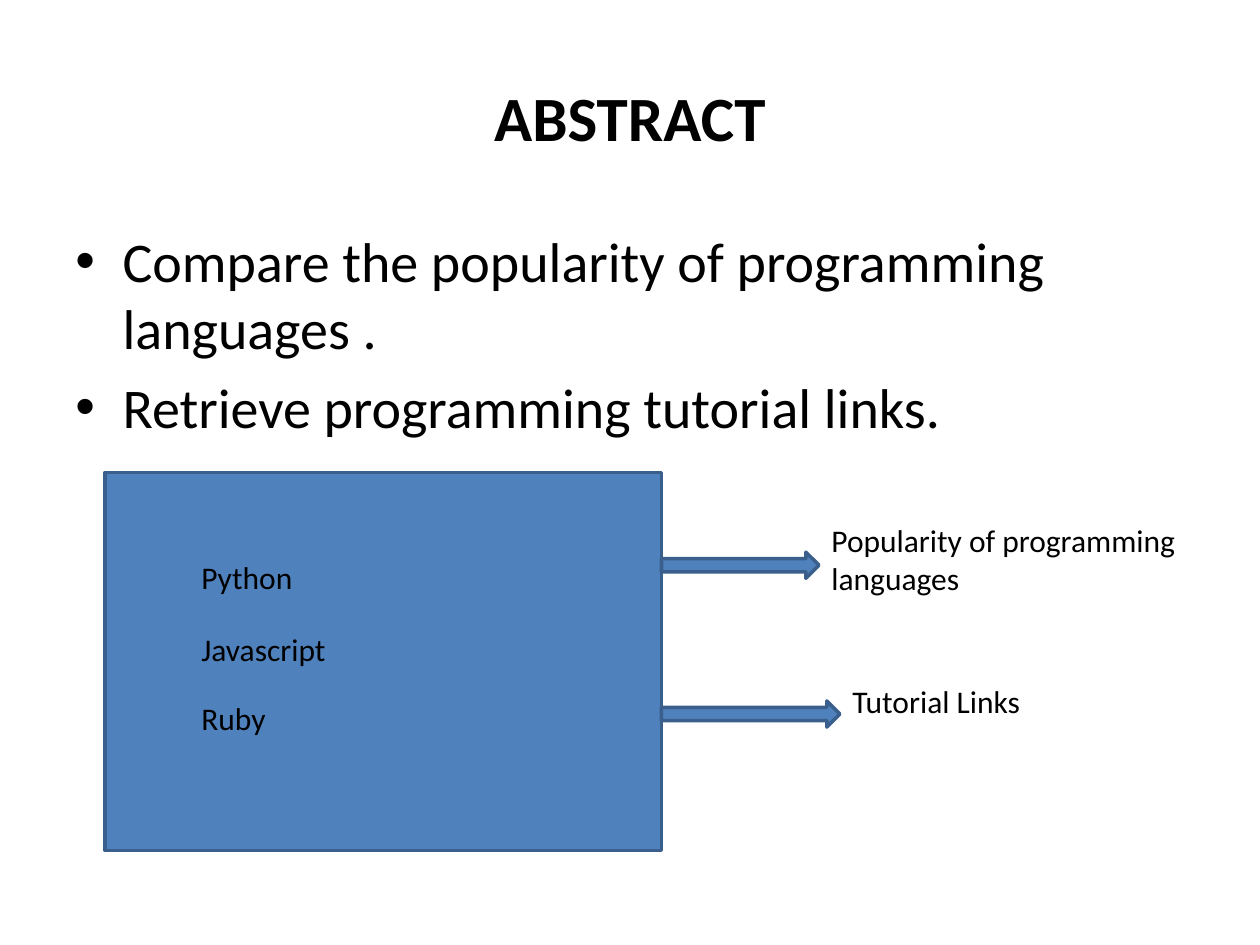
from lxml import etree
from pptx import Presentation
from pptx.dml.color import RGBColor
from pptx.enum.shapes import MSO_SHAPE
from pptx.enum.text import MSO_ANCHOR, PP_ALIGN
from pptx.oxml.ns import qn
from pptx.util import Pt

RECT, ARROW = MSO_SHAPE.RECTANGLE, MSO_SHAPE.RIGHT_ARROW
TOP, MIDDLE = MSO_ANCHOR.TOP, MSO_ANCHOR.MIDDLE
LEFT, CENTER = PP_ALIGN.LEFT, PP_ALIGN.CENTER
FONT, BLACK, BLUE, EDGE = "Calibri", "000000", "4F81BD", "3A5F8C"


def color(code):
    return RGBColor.from_string(code)


def add_text(slide, box, *lines, size=18, bold=False, align=LEFT,
             anchor=TOP, bullet=False):
    frame = slide.shapes.add_textbox(*map(Pt, box)).text_frame
    frame.word_wrap = True
    frame.vertical_anchor = anchor
    for i, line in enumerate(lines):
        para = frame.add_paragraph() if i else frame.paragraphs[0]
        para.alignment = align
        run = para.add_run()
        run.text = line
        run.font.name = FONT
        run.font.size = Pt(size)
        run.font.bold = bold
        run.font.color.rgb = color(BLACK)
        if bullet:
            para.space_before = Pt(size * 0.2)
            props = para._p.get_or_add_pPr()
            props.set("marL", str(Pt(27)))
            props.set("indent", str(Pt(-27)))
            etree.SubElement(props, qn("a:buFont"), typeface="Arial")
            etree.SubElement(props, qn("a:buChar"), char="•")


def add_block(slide, kind, box):
    shape = slide.shapes.add_shape(kind, *map(Pt, box))
    shape.shadow.inherit = False
    shape.fill.solid()
    shape.fill.fore_color.rgb = color(BLUE)
    shape.line.color.rgb = color(EDGE)
    shape.line.width = Pt(2)


def add_head(slide, box):
    add_text(slide, box, "ABSTRACT", size=36, bold=True,
             align=CENTER, anchor=MIDDLE)


def add_body(slide, box):
    add_text(slide, box, "Compare the popularity of programming languages .",
             "Retrieve programming tutorial links.", size=32, bullet=True)


def add_flow(slide, box):
    left, top, width, height = box
    # Languages inside the source box
    add_block(slide, RECT, box)
    for name, drop in (("Python", 45.5), ("Javascript", 86.5), ("Ruby", 126)):
        add_text(slide, (left + 48, top + drop, 180, 29), name)

    # Arrows to the results: arrow drop and length, label drop and width
    right = left + width
    results = (
        ("Popularity of programming languages", 45.5, 90, 24, 234),
        ("Tutorial Links", 130.5, 102, 116, 180),
    )
    for label, drop, length, rise, wide in results:
        add_block(slide, ARROW, (right, top + drop, length, 15))
        add_text(slide, (right + length, top + rise, wide, 29), label)


def main():
    deck = Presentation()
    deck.slide_width, deck.slide_height = Pt(720), Pt(540)
    slide = deck.slides.add_slide(deck.slide_layouts[6])
    add_head(slide, (36, 21.6, 648, 90))
    add_body(slide, (36, 126, 648, 356.4))
    add_flow(slide, (60, 270, 318, 216))
    deck.save("out.pptx")


if __name__ == "__main__":
    main()
